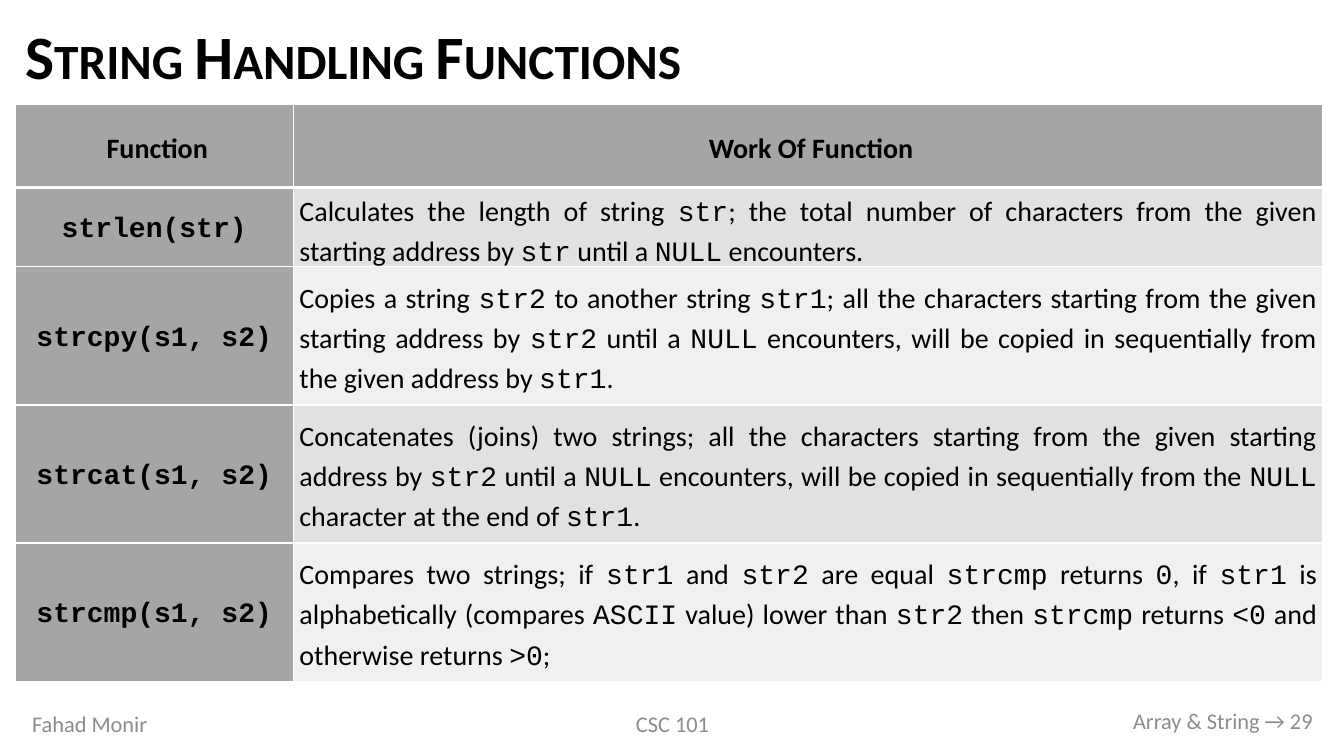
from dataclasses import dataclass

from lxml import etree
from pptx import Presentation
from pptx.dml.color import RGBColor
from pptx.enum.text import MSO_ANCHOR, PP_ALIGN
from pptx.oxml.ns import qn
from pptx.util import Inches, Pt

LEFT, CENTER, RIGHT = PP_ALIGN.LEFT, PP_ALIGN.CENTER, PP_ALIGN.RIGHT
JUSTIFY = PP_ALIGN.JUSTIFY
MIDDLE = MSO_ANCHOR.MIDDLE


@dataclass(frozen=True)
class Theme:
    body_font: str = "Calibri"
    code_font: str = "Courier New"
    ink: str = "000000"
    muted: str = "8C8C8C"
    rule: str = "FFFFFF"
    heading_fill: str = "A5A5A5"
    bands: tuple = ("E1E1E1", "F0F0F0")
    title_size: int = 44
    table_size: int = 20
    footer_size: int = 16
    table_spacing: float = 1.15
    thin: int = 1
    thick: int = 3


class SlideBuilder:
    """Places elements on a grid of 100 columns by 100 rows."""

    def __init__(self, deck, theme):
        self.theme = theme
        self.column = deck.slide_width / 100
        self.row = deck.slide_height / 100
        self.slide = deck.slides.add_slide(deck.slide_layouts[6])

    def area(self, left, top, width, height):
        return (round(left * self.column), round(top * self.row),
                round(width * self.column), round(height * self.row))

    def add_runs(self, frame, text, size, color, align, spacing=1.0, bold=False):
        """Adds runs; parts between backticks are set in the code font."""
        paragraph = frame.paragraphs[0]
        paragraph.alignment = align
        paragraph.line_spacing = spacing
        for index, part in enumerate(text.split("`")):
            if not part:
                continue
            run = paragraph.add_run()
            run.text = part
            font = run.font
            font.name = self.theme.code_font if index % 2 else self.theme.body_font
            font.size = Pt(size)
            font.bold = bold
            font.color.rgb = RGBColor.from_string(color)
        return paragraph

    def text(self, area, text, size, color, align=LEFT, **style):
        frame = self.slide.shapes.add_textbox(*self.area(*area)).text_frame
        frame.word_wrap = True
        frame.vertical_anchor = MIDDLE
        return self.add_runs(frame, text, size, color, align, **style)

    def title(self, area, text):
        heading = self.text(area, text, self.theme.title_size, self.theme.ink,
                            spacing=0.9, bold=True)
        for run in heading.runs:
            run._r.get_or_add_rPr().set("cap", "small")

    def borders(self, cell, widths):
        properties = cell._tc.get_or_add_tcPr()
        for position, (side, width) in enumerate(widths.items()):
            line = etree.Element(qn(f"a:{side}"), w=str(int(Pt(width))))
            fill = etree.SubElement(line, qn("a:solidFill"))
            etree.SubElement(fill, qn("a:srgbClr"), val=self.theme.rule)
            properties.insert(position, line)

    def cell(self, cell, text, fill, align, bold, margins, bottom, top):
        (cell.margin_left, cell.margin_top,
         cell.margin_right, cell.margin_bottom) = map(Inches, margins)
        cell.vertical_anchor = MIDDLE
        cell.fill.solid()
        cell.fill.fore_color.rgb = RGBColor.from_string(fill)
        thin = self.theme.thin
        self.borders(cell, {"lnL": thin, "lnR": thin, "lnT": top, "lnB": bottom})
        self.add_runs(cell.text_frame, text, self.theme.table_size, self.theme.ink,
                      align, self.theme.table_spacing, bold)

    def table(self, left, top, widths, heights, rows):
        theme = self.theme
        area = self.area(left, top, sum(widths), sum(heights))
        table = self.slide.shapes.add_table(len(rows), len(widths), *area).table
        for column, width in zip(table.columns, widths):
            column.width = round(width * self.column)
        for row, height in zip(table.rows, heights):
            row.height = round(height * self.row)
        for r, texts in enumerate(rows):
            margins = (0.06, 0.02, 0.06, 0) if r else (0.06, 0.03, 0, 0.02)
            bottom = theme.thin if r else theme.thick
            top_rule = theme.thick if r == 1 else theme.thin
            for c, text in enumerate(texts):
                heading = r == 0 or c == 0
                fill = theme.heading_fill if heading else theme.bands[(r - 1) % 2]
                self.cell(table.cell(r, c), text, fill,
                          CENTER if heading else JUSTIFY, heading, margins,
                          bottom, top_rule)


FUNCTIONS = [
    ("Function", "Work Of Function"),
    ("`strlen(str)`",
     "Calculates the length of string `str`; the total number of characters "
     "from the given starting address by `str` until a `NULL` encounters."),
    ("`strcpy(s1, s2)`",
     "Copies a string `str2` to another string `str1`; all the characters "
     "starting from the given starting address by `str2` until a `NULL` "
     "encounters, will be copied in sequentially from the given address by `str1`."),
    ("`strcat(s1, s2)`",
     "Concatenates (joins) two strings; all the characters starting from the "
     "given starting address by `str2` until a `NULL` encounters, will be copied "
     "in sequentially from the `NULL` character at the end of `str1`."),
    ("`strcmp(s1, s2)`",
     "Compares two strings; if `str1` and `str2` are equal `strcmp` returns `0`, "
     "if `str1` is alphabetically (compares `ASCII` value) lower than `str2` then "
     "`strcmp` returns `<0` and otherwise returns `>0`;"),
]

FOOTER = [
    ((1.65, 93.07, 22.5, 5.33), "Fahad Monir", LEFT),
    ((33.16, 93.07, 33.76, 5.33), "CSC 101", CENTER),
    ((75.92, 92.67, 22.5, 5.33), "Array & String → 29", RIGHT),
]


def main():
    deck = Presentation()
    deck.slide_width, deck.slide_height = Inches(13.33), Inches(7.5)
    theme = Theme()
    page = SlideBuilder(deck, theme)

    # Title
    page.title((1.13, 2, 97.3, 11.87), "String Handling Functions")

    # Function reference
    page.table(1.13, 13.87, (20.7, 76.6), (10.93, 10.4) + (18.27,) * 3, FUNCTIONS)

    # Footer
    for area, text, align in FOOTER:
        page.text(area, text, theme.footer_size, theme.muted, align)

    deck.save("out.pptx")


if __name__ == "__main__":
    main()
